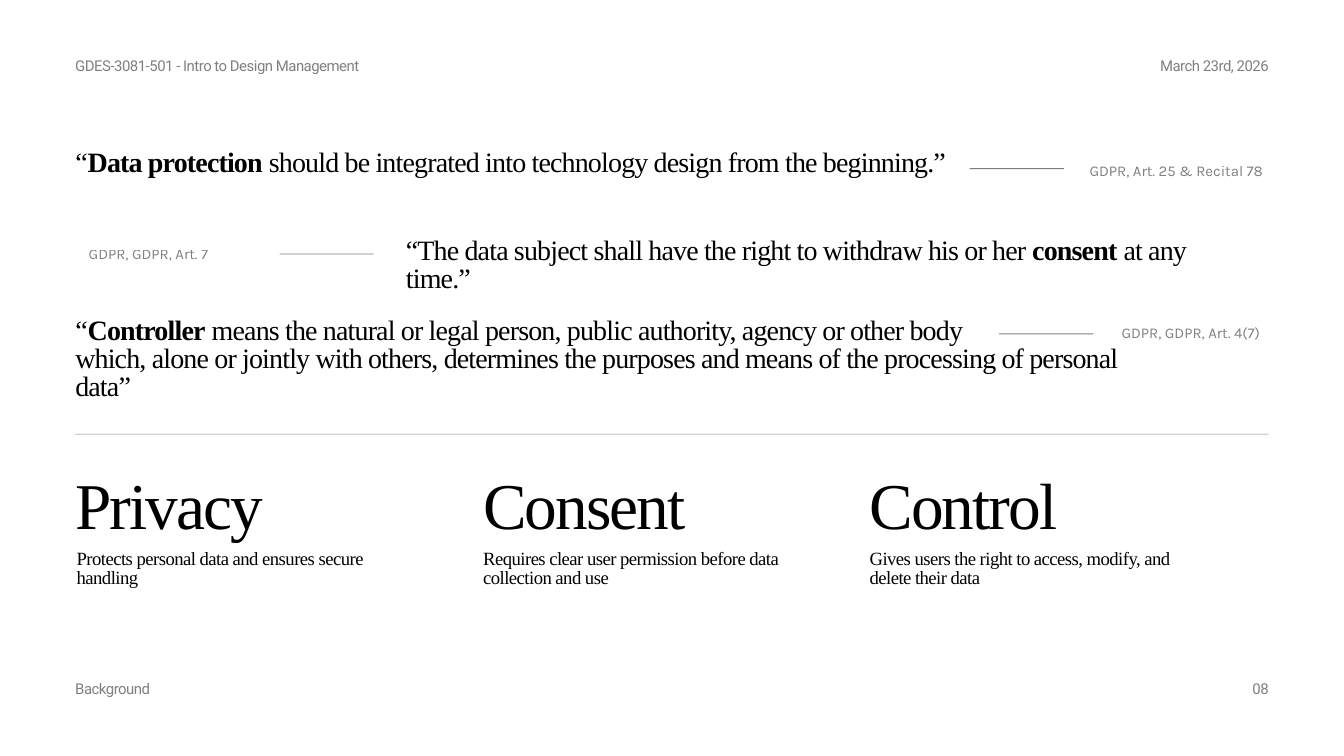
import pptx
import pptx.dml.color
import pptx.enum.shapes
import pptx.enum.text
import pptx.oxml
import pptx.oxml.ns
import pptx.util

Inches = pptx.util.Inches
Pt = pptx.util.Pt
Align = pptx.enum.text.PP_ALIGN
BLACK = pptx.dml.color.RGBColor(0, 0, 0)
WHITE = pptx.dml.color.RGBColor(255, 255, 255)
SERIF = "Times New Roman"
EDGE, WIDE = 1.12, 17.76


def fade(node):
    """Make the colour inside an XML node half transparent."""
    for tint in node.iter(pptx.oxml.ns.qn("a:srgbClr")):
        alpha = pptx.oxml.parse_xml(
            "<a:alpha %s val='50000'/>" % pptx.oxml.ns.nsdecls("a"))
        tint.append(alpha)


def write(slide, text, box, size=16, font=SERIF, lead=None, space=0,
          align=Align.LEFT, pale=False):
    """Add a text box, with bold words between asterisks."""
    shape = slide.shapes.add_textbox(*map(Inches, box))
    frame = shape.text_frame
    frame.word_wrap = True
    frame.auto_size = pptx.enum.text.MSO_AUTO_SIZE.SHAPE_TO_FIT_TEXT
    frame.margin_left = frame.margin_right = 0
    frame.margin_top = frame.margin_bottom = 0
    for row, line in enumerate(text.split("\n")):
        para = frame.paragraphs[0] if row == 0 else frame.add_paragraph()
        para.alignment = align
        para.line_spacing = Pt(lead or size)
        for turn, part in enumerate(line.split("*")):
            run = para.add_run()
            run.text = part
            run.font.name = font
            run.font.size = Pt(size)
            run.font.bold = turn % 2 == 1
            run.font.color.rgb = BLACK
            props = run.font._element
            if space:
                props.set("spc", str(round(space * 100)))
            if pale:
                fade(props)


def rule(slide, left, top, width, weight=1):
    """Draw a thin pale level line."""
    line = slide.shapes.add_connector(
        pptx.enum.shapes.MSO_CONNECTOR.STRAIGHT,
        Inches(left), Inches(top), Inches(left + width), Inches(top))
    line.line.color.rgb = BLACK
    line.line.width = Pt(weight)
    props = line._element.spPr
    fade(props)
    props.append(pptx.oxml.parse_xml(
        "<a:effectLst %s/>" % pptx.oxml.ns.nsdecls("a")))


def margin(slide, box, start, end):
    """Set a left and a right label in a strip at the page edge."""
    left, top, width, height = box
    for text, span, align in ((start, 4.44, Align.LEFT),
                              (end, 4.44, Align.RIGHT)):
        shift = width - span if align == Align.RIGHT else 0
        write(slide, text, (left + shift, top, span, height), font="Roboto",
              space=-0.5, align=align, pale=True)


def quote(slide, box, text, source, spot, dash, weight=1):
    """Set a quotation, its source label and the dash between them."""
    left, top, width, height = box
    write(slide, text, box, size=30, space=-0.9)
    shift, drop, span = spot
    write(slide, source, (left + shift, top + drop, span, 0.28), font="Karla",
          lead=22.4, align=Align.CENTER, pale=True)
    rule(slide, left + dash[0], top + dash[1], 1.4, weight)


def pillar(slide, box, head, body, inset=0, align=Align.LEFT):
    """Set a large word above its short explanation."""
    left, top, width, height = box
    write(slide, head, (left, top, width, 0.97), size=70, lead=63,
          space=-2.1, align=align)
    write(slide, body, (left + inset, top + 0.99, width - inset, height - 0.99),
          size=20, space=-0.6)


def main():
    """Build and save the slide."""
    deck = pptx.Presentation()
    deck.slide_width, deck.slide_height = Inches(20), Inches(11.25)
    slide = deck.slides.add_slide(deck.slide_layouts[6])
    slide.background.fill.solid()
    slide.background.fill.fore_color.rgb = WHITE

    margin(slide, (EDGE, 0.89, WIDE, 0.23),
           "GDES-3081-501 - Intro to Design Management", "March 23rd, 2026")
    quote(slide, (EDGE, 2.23, 13.02, 0.48),
          "“*Data protection* should be integrated into technology design "
          "from the beginning.”",
          "GDPR, Art. 25 & Recital 78", (15.02, 0.13, 2.73), (13.31, 0.28))
    quote(slide, (6.04, 3.54, 12.64, 0.48),
          "“The data subject shall have the right to withdraw his or her "
          "*consent* at any time.”",
          "GDPR, GDPR, Art. 7", (-4.85, 0.06, 2.04), (-1.88, 0.24), 0.75)
    quote(slide, (EDGE, 4.73, 16.42, 0.89),
          "“*Controller* means the natural or legal person, public authority, "
          "agency or other body\nwhich, alone or jointly with others, "
          "determines the purposes and means of the processing of personal "
          "data”",
          "GDPR, GDPR, Art. 4(7)", (15.44, 0.04, 2.32), (13.75, 0.24))
    rule(slide, EDGE, 6.46, WIDE, 0.75)
    pillar(slide, (EDGE, 7.2, 4.98, 1.57), "Privacy",
           "Protects personal data and ensures secure handling", inset=0.02)
    pillar(slide, (7.19, 7.2, 4.6, 1.57), "Consent",
           "Requires clear user permission before data collection and use",
           align=Align.JUSTIFY)
    pillar(slide, (12.94, 7.2, 4.75, 1.57), "Control",
           "Gives users the right to access, modify, and delete their data")
    margin(slide, (EDGE, 10.16, WIDE, 0.23), "Background", "08")
    deck.save("out.pptx")


if __name__ == "__main__":
    main()
